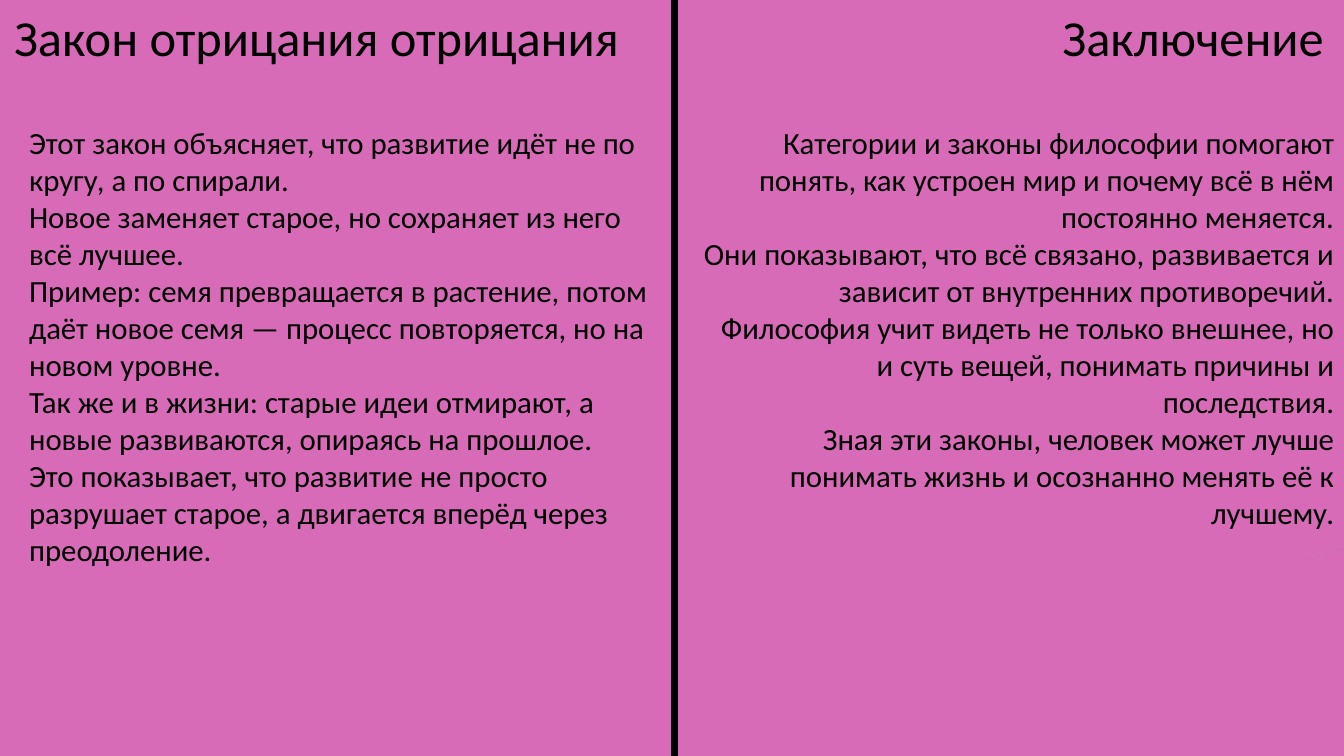
import pptx
import pptx.util
import pptx.dml.color
import pptx.enum.shapes
import pptx.enum.text
from lxml import etree
from pptx.util import Inches

Align = pptx.enum.text.PP_ALIGN
AutoSize = pptx.enum.text.MSO_AUTO_SIZE
Anchor = pptx.enum.text.MSO_ANCHOR
PINK = pptx.dml.color.RGBColor(0xD7, 0x6B, 0xB8)
GREEN = pptx.dml.color.RGBColor(0x28, 0x94, 0x47)
BLACK = pptx.dml.color.RGBColor(0, 0, 0)
FONT = "Calibri"

LAW_HEADING = "Закон отрицания отрицания"
LAW = [
    "Этот закон объясняет, что развитие идёт не по кругу, а по спирали.",
    "Новое заменяет старое, но сохраняет из него всё лучшее.",
    "Пример: семя превращается в растение, потом даёт новое семя — процесс повторяется, но на новом уровне.",
    "Так же и в жизни: старые идеи отмирают, а новые развиваются, опираясь на прошлое.",
    "Это показывает, что развитие не просто разрушает старое, а двигается вперёд через преодоление.",
]
CONCLUSION_HEADING = "Заключение"
CONCLUSION = [
    "Категории и законы философии помогают понять, как устроен мир и почему всё в нём постоянно меняется.",
    "Они показывают, что всё связано, развивается и зависит от внутренних противоречий.",
    "Философия учит видеть не только внешнее, но и суть вещей, понимать причины и последствия.",
    "Зная эти законы, человек может лучше понимать жизнь и осознанно менять её к лучшему.",
]

SLIDE_WIDTH, SLIDE_HEIGHT = 13.33, 7.5
HEADING_WIDTH, HEADING_HEIGHT = 6.28, 0.72
BODY_TOP, BODY_WIDTH = 1.18, 6.48
DIVIDER_X = 6.69
DISC_LEFT, DISC_TOP, DISC_SIZE = -3.76, -3.21, 21.43
DISC_ANGLES = (162, 161.97)
ANGLE_UNIT = 0.6


def write(holder, paragraphs, size, align, anchor, auto_size):
    frame = holder.text_frame
    frame.word_wrap = True
    frame.auto_size = auto_size
    frame.vertical_anchor = anchor
    for index, text in enumerate(paragraphs):
        paragraph = frame.add_paragraph() if index else frame.paragraphs[0]
        paragraph.alignment = align
        run = paragraph.add_run()
        run.text = text
        run.font.name = FONT
        run.font.size = pptx.util.Pt(size)
        run.font.color.rgb = BLACK


def write_heading(holder, text, align):
    write(holder, [text], 36, align, Anchor.BOTTOM, AutoSize.NONE)
    holder.text_frame.paragraphs[0].line_spacing = 0.9


def add_body(slide, left, height, paragraphs, align):
    body = slide.shapes.add_textbox(
        Inches(left), Inches(BODY_TOP), Inches(BODY_WIDTH), Inches(height))
    write(body, paragraphs, 22, align, Anchor.TOP, AutoSize.SHAPE_TO_FIT_TEXT)


def add_disc(slide):
    disc = slide.shapes.add_shape(
        pptx.enum.shapes.MSO_SHAPE.ARC, Inches(DISC_LEFT), Inches(DISC_TOP),
        Inches(DISC_SIZE), Inches(DISC_SIZE))
    for index, angle in enumerate(DISC_ANGLES):
        disc.adjustments[index] = angle * ANGLE_UNIT
    disc.rotation = 180
    disc.shadow.inherit = False
    disc.fill.solid()
    disc.fill.fore_color.rgb = PINK
    disc.line.color.rgb = PINK
    disc.line.width = pptx.util.Pt(15)
    slide.shapes.title._element.addprevious(disc._element)


def main():
    deck = pptx.Presentation()
    deck.slide_width = Inches(SLIDE_WIDTH)
    deck.slide_height = Inches(SLIDE_HEIGHT)
    slide = deck.slides.add_slide(deck.slide_layouts[5])
    slide.background.fill.solid()
    slide.background.fill.fore_color.rgb = GREEN
    add_disc(slide)

    law_heading = slide.shapes.title
    law_heading.left, law_heading.top = Inches(0), Inches(0)
    law_heading.width, law_heading.height = Inches(HEADING_WIDTH), Inches(HEADING_HEIGHT)
    write_heading(law_heading, LAW_HEADING, Align.CENTER)
    add_body(slide, 0.19, 4.54, LAW, Align.LEFT)

    conclusion_heading = slide.shapes.add_textbox(
        Inches(6.95), Inches(0), Inches(HEADING_WIDTH), Inches(HEADING_HEIGHT))
    write_heading(conclusion_heading, CONCLUSION_HEADING, Align.RIGHT)
    add_body(slide, SLIDE_WIDTH - BODY_WIDTH, 4.17, CONCLUSION, Align.RIGHT)

    divider = slide.shapes.add_connector(
        pptx.enum.shapes.MSO_CONNECTOR.STRAIGHT,
        Inches(DIVIDER_X), Inches(0), Inches(DIVIDER_X), Inches(SLIDE_HEIGHT))
    divider.line.color.rgb = BLACK
    divider.line.width = pptx.util.Pt(5)
    etree.SubElement(divider._element.spPr, pptx.oxml.ns.qn("a:effectLst"))

    deck.save("out.pptx")


if __name__ == "__main__":
    main()
